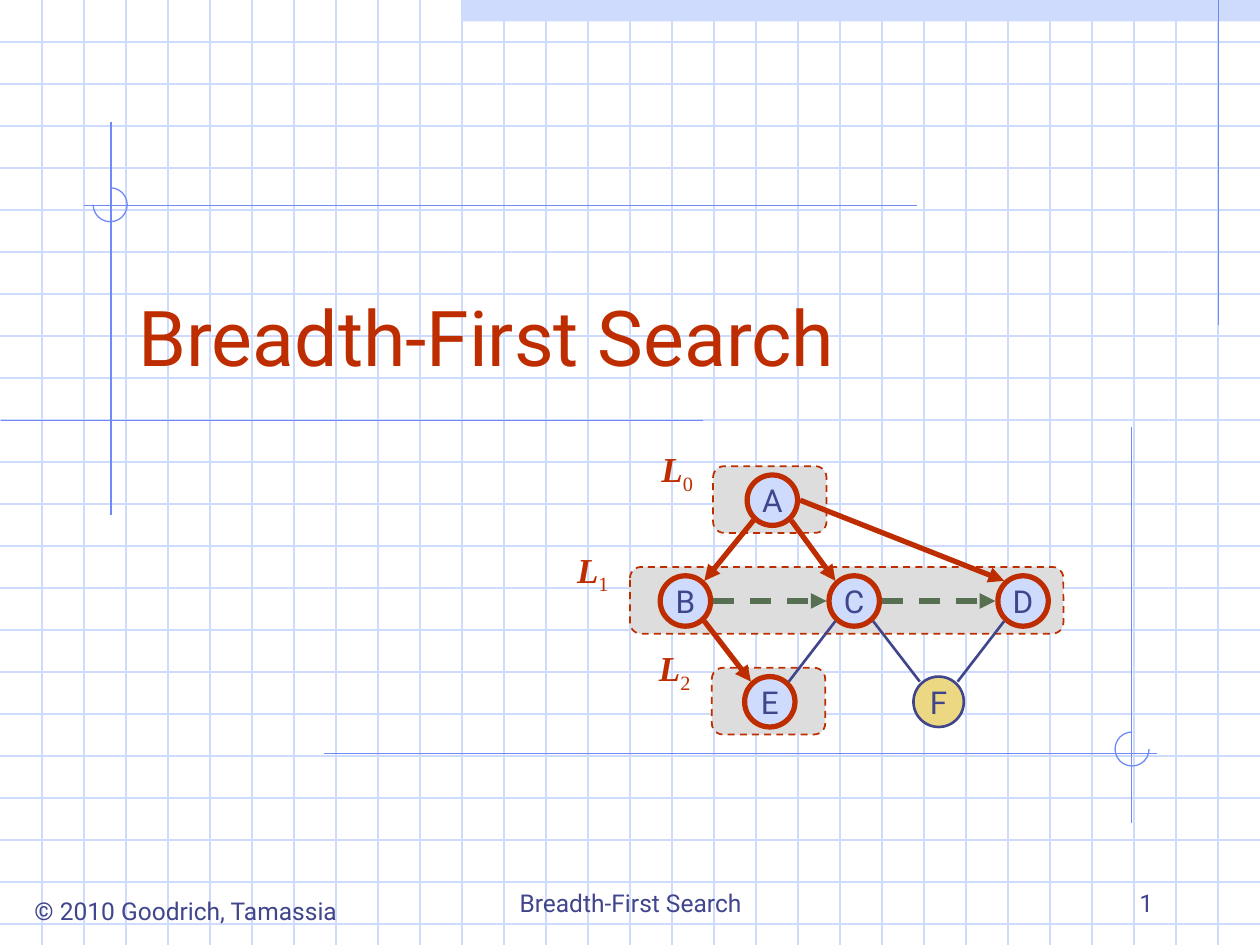
from lxml import etree
from pptx import Presentation
from pptx.dml.color import RGBColor
from pptx.enum.dml import MSO_LINE
from pptx.enum.shapes import MSO_CONNECTOR, MSO_SHAPE
from pptx.enum.text import MSO_ANCHOR, MSO_AUTO_SIZE, PP_ALIGN
from pptx.oxml.ns import qn
from pptx.util import Inches, Pt

COLORS = {"grid": "CFDBFD", "rule": "6F89F7", "red": "BE2D00", "navy": "40458C",
          "green": "577052", "yellow": "ECD882", "gray": "DDDDDD"}
WIDTH, HEIGHT = 10, 7.5

TITLE = "Breadth-First Search"
# text, box, alignment, anchor, wrap
FOOTERS = [
    ("© 2010 Goodrich, Tamassia", (0.12, 7.06, 2.71, 0.34), PP_ALIGN.CENTER, MSO_ANCHOR.TOP, False),
    (TITLE, (3.42, 6.83, 3.17, 0.5), PP_ALIGN.CENTER, MSO_ANCHOR.BOTTOM, True),
    ("1", (7.17, 6.83, 2.08, 0.5), PP_ALIGN.RIGHT, MSO_ANCHOR.BOTTOM, True),
]
RULES = [  # x1, y1, x2, y2
    (9.67, 0, 9.67, 2.58), (0.88, 0.97, 0.88, 4.09), (5.58, 3.34, 0.01, 3.34),
    (7.28, 1.63, 0.67, 1.63), (2.57, 5.98, 9.18, 5.98), (8.98, 3.39, 8.98, 6.53),
]
ARCS = [(0.74, 1.49, 270, 180), (8.85, 5.81, 0, 270)]  # left, top, start and end degrees

# Levels: number, box left, top and width, label left and top
LEVELS = [(2, 5.65, 5.3, 0.9, 5.1, 5.08),
          (1, 5, 4.5, 3.44, 4.45, 4.3),
          (0, 5.66, 3.7, 0.9, 5.12, 3.5)]
NODES = {"A": (6.13, 3.97), "B": (5.44, 4.77), "C": (6.78, 4.77),
         "D": (8.12, 4.77), "E": (6.11, 5.57), "F": (7.45, 5.57)}
UNVISITED = {"F"}
RADIUS = 0.2
# Points on a node where edges start and end, relative to its centre
SITES = {"left": (-0.22, 0), "right": (0.22, 0), "nw": (-0.15, -0.16),
         "ne": (0.15, -0.16), "sw": (-0.15, 0.16), "se": (0.15, 0.16)}
EDGE_STYLES = {  # colour, width, dashed, arrow
    "discovery": ("red", 3, False, True),
    "cross": ("green", 3, True, True),
    "unexplored": ("navy", 1.5, False, False),
}
EDGES = [
    ("A", "sw", "B", "ne", "discovery"), ("B", "se", "E", "nw", "discovery"),
    ("E", "ne", "C", "sw", "unexplored"), ("A", "se", "C", "nw", "discovery"),
    ("B", "right", "C", "left", "cross"), ("F", "ne", "D", "sw", "unexplored"),
    ("A", "right", "D", "nw", "discovery"), ("C", "right", "D", "left", "cross"),
    ("C", "se", "F", "nw", "unexplored"),
]


def rgb(name):
    return RGBColor.from_string(COLORS[name])


def style_line(line, color, width, dashed=False):
    line.color.rgb = rgb(color)
    line.width = Pt(width)
    if dashed:
        line.dash_style = MSO_LINE.DASH


def add_line(x1, y1, x2, y2, color, width=0.75, dashed=False, arrow=False):
    c = shapes.add_connector(MSO_CONNECTOR.STRAIGHT, *map(Inches, (x1, y1, x2, y2)))
    style_line(c.line, color, width, dashed)
    sp_pr = c._element.spPr
    if arrow:
        etree.SubElement(sp_pr.find(qn("a:ln")), qn("a:tailEnd"), type="triangle")
    etree.SubElement(sp_pr, qn("a:effectLst"))


def add_shape(kind, box, fill=None, line=None, width=0.75, dashed=False):
    sp = shapes.add_shape(kind, *map(Inches, box))
    sp.shadow.inherit = False
    if fill:
        sp.fill.solid()
        sp.fill.fore_color.rgb = rgb(fill)
    else:
        sp.fill.background()
    if line:
        style_line(sp.line, line, width, dashed)
    else:
        sp.line.fill.background()
    return sp


def set_text(sp, text, size, color, align, anchor, wrap):
    tf = sp.text_frame
    tf.text = text
    tf.word_wrap = wrap
    tf.auto_size = MSO_AUTO_SIZE.NONE
    tf.vertical_anchor = anchor
    p = tf.paragraphs[0]
    p.alignment = align
    font = p.runs[0].font
    font.name, font.size, font.color.rgb = "Roboto", Pt(size), rgb(color)


prs = Presentation()
prs.slide_width, prs.slide_height = Inches(WIDTH), Inches(HEIGHT)
slide = prs.slides.add_slide(prs.slide_layouts[5])
shapes = slide.shapes

# Graph paper background: three squares to the inch
add_shape(MSO_SHAPE.RECTANGLE, (3.67, 0, 6.33, 0.17), "grid")
for i in range(1, 23):
    add_line(0, i / 3, WIDTH, i / 3, "grid")
for i in range(1, 30):
    add_line(i / 3, 0, i / 3, HEIGHT, "grid")
for rule in RULES:
    add_line(*rule, "rule")
for left, top, start, end in ARCS:
    arc = add_shape(MSO_SHAPE.ARC, (left, top, 0.27, 0.27), line="rule")
    # Angles are stored in 60000ths of a degree, adjustments in 100000ths
    arc.adjustments[0], arc.adjustments[1] = start * 0.6, end * 0.6

# Footers
for text, box, align, anchor, wrap in FOOTERS:
    set_text(shapes.add_textbox(*map(Inches, box)), text, 14, "navy", align, anchor, wrap)

# Title, brought in front of the background
title = shapes.title
title.left, title.top, title.width, title.height = map(Inches, (1, 1.83, 8.5, 1.25))
set_text(title, TITLE, 44, "red", PP_ALIGN.LEFT, MSO_ANCHOR.BOTTOM, True)
shapes._spTree.append(title._element)

# Level boxes and their labels
for number, left, top, width, label_left, label_top in LEVELS:
    add_shape(MSO_SHAPE.ROUNDED_RECTANGLE, (left, top, width, 0.53), "gray", "red", 1, True)
    label = shapes.add_textbox(*map(Inches, (label_left, label_top, 0.51, 0.48)))
    label.text_frame.word_wrap = True
    p = label.text_frame.paragraphs[0]
    p.alignment = PP_ALIGN.CENTER
    for text, is_letter in (("L", True), (str(number), False)):
        r = p.add_run()
        r.text = text
        font = r.font
        font.name, font.size, font.color.rgb = "Times New Roman", Pt(20), rgb("red")
        font.bold = font.italic = is_letter
    r.font._element.set("baseline", "-25000")

# Nodes
for name, (x, y) in NODES.items():
    fill, line, width = ("yellow", "navy", 1.5) if name in UNVISITED else ("grid", "red", 3)
    node = add_shape(MSO_SHAPE.OVAL, (x - RADIUS, y - RADIUS, 2 * RADIUS, 2 * RADIUS),
                     fill, line, width)
    set_text(node, name, 18, "navy", PP_ALIGN.CENTER, MSO_ANCHOR.MIDDLE, False)

# Edges
for start, start_site, end, end_site, kind in EDGES:
    ends = [NODES[node][axis] + SITES[site][axis]
            for node, site in ((start, start_site), (end, end_site)) for axis in (0, 1)]
    add_line(*ends, *EDGE_STYLES[kind])

prs.save("out.pptx")
